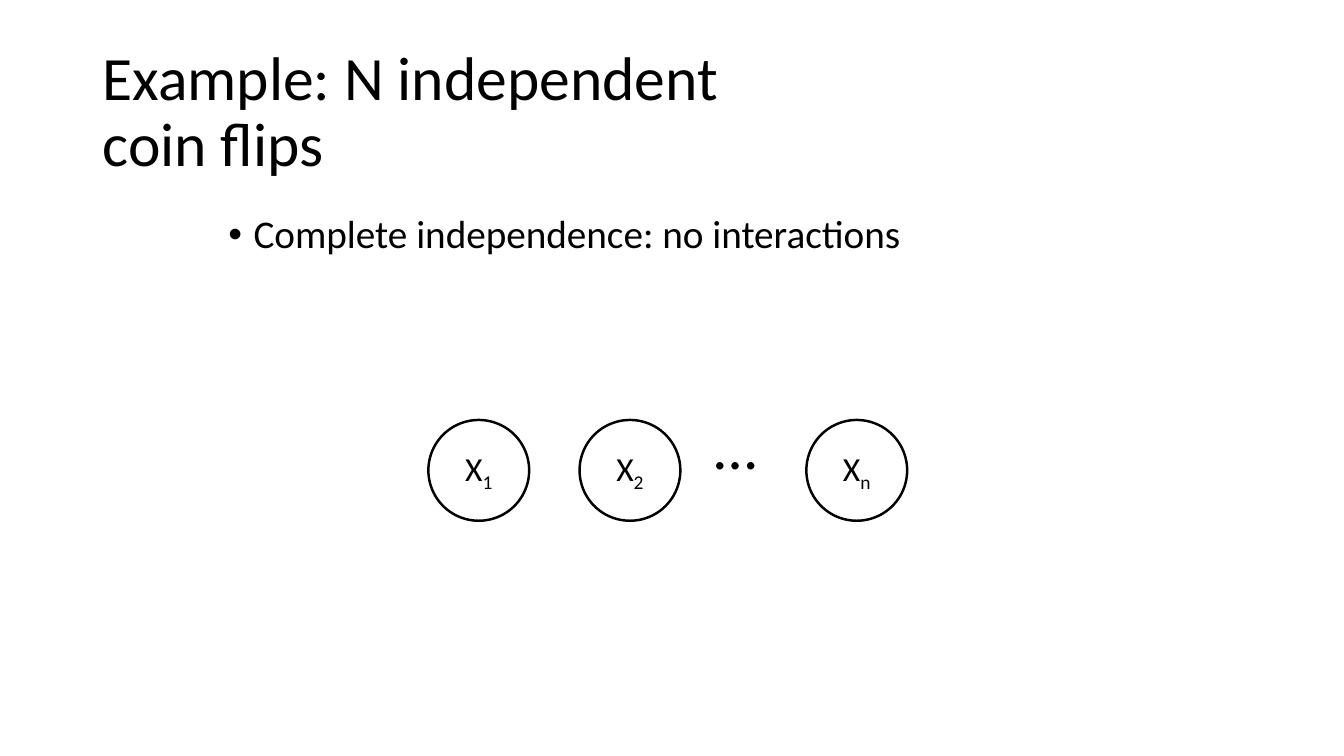
"""Build a slide on independent coin flips."""
from dataclasses import dataclass

from pptx import Presentation
from pptx import util as u
from pptx.dml.color import RGBColor
from pptx.enum import shapes, text
from pptx.oxml.xmlchemy import OxmlElement


@dataclass(frozen=True)
class Theme:
    """Font, colours, type sizes and line width."""
    font: str = "Calibri"
    ink: RGBColor = RGBColor(0, 0, 0)
    title: int = 44
    body: int = 28
    node: int = 24
    line: float = 1.75


THEME = Theme()
COLUMNS, ROWS = 160, 90
CELL = u.Inches(1 / 12)


def cells(*counts):
    """Turn counts of grid cells into lengths."""
    return [u.Emu(round(count * CELL)) for count in counts]


def place(box, left, top, width, height):
    """Put a box on the grid."""
    box.left, box.top, box.width, box.height = cells(left, top, width, height)


def write(para, words, *, size, baseline=None):
    """Add a formatted span of text to a paragraph."""
    for index, line in enumerate(words.split("\n")):
        if index:
            para.add_line_break()
        span = para.add_run()
        span.text = line
        span.font.name = THEME.font
        span.font.size = u.Pt(size)
        span.font.color.rgb = THEME.ink
        if baseline is not None:
            span.font._element.set("baseline", str(baseline * 1000))


def add_title(page, words):
    """Fill the title placeholder."""
    box = page.shapes.title
    place(box, 11, 4.8, 138, 17.4)
    box.text_frame.vertical_anchor = text.MSO_ANCHOR.MIDDLE
    para = box.text_frame.paragraphs[0]
    para.alignment = text.PP_ALIGN.LEFT
    para.line_spacing = 0.9
    write(para, words, size=THEME.title)


def add_list(page, items):
    """Fill the body placeholder with bulleted items."""
    box = page.placeholders[1]
    place(box, 26, 25, 108, 55.5)
    for index, item in enumerate(items):
        frame = box.text_frame
        para = frame.add_paragraph() if index else frame.paragraphs[0]
        para.line_spacing = 0.9
        para.space_before = u.Pt(10)
        write(para, item, size=THEME.body)
        properties = para._p.get_or_add_pPr()
        properties.set("marL", str(u.Inches(0.25)))
        properties.set("indent", str(u.Inches(-0.25)))
        bullet = OxmlElement("a:buChar")
        bullet.set("char", "•")
        properties.append(bullet)


def add_node(page, left, subscript):
    """Draw a circle that holds one variable."""
    node = page.shapes.add_shape(
        shapes.MSO_SHAPE.OVAL, *cells(left, 50, 12, 12))
    node.shadow.inherit = False
    node.fill.background()
    node.line.color.rgb = THEME.ink
    node.line.width = u.Pt(THEME.line)
    node.text_frame.vertical_anchor = text.MSO_ANCHOR.MIDDLE
    para = node.text_frame.paragraphs[0]
    para.alignment = text.PP_ALIGN.CENTER
    write(para, "X", size=THEME.node)
    write(para, subscript, size=THEME.node, baseline=-25)


def add_label(page, words, left, top, width, height):
    """Add a text box that grows with its text."""
    box = page.shapes.add_textbox(*cells(left, top, width, height))
    box.text_frame.word_wrap = True
    box.text_frame.auto_size = text.MSO_AUTO_SIZE.SHAPE_TO_FIT_TEXT
    write(box.text_frame.paragraphs[0], words, size=THEME.title)


def main():
    """Build and save the deck."""
    deck = Presentation()
    deck.slide_width, deck.slide_height = cells(COLUMNS, ROWS)
    page = deck.slides.add_slide(deck.slide_layouts[1])
    for spare in list(page.placeholders)[2:]:
        spare.element.getparent().remove(spare.element)
    add_title(page, "Example: N independent \ncoin flips")
    add_list(page, ["Complete independence: no interactions"])
    for left, subscript in ((51, "1"), (69, "2"), (96, "n")):
        add_node(page, left, subscript)
    add_label(page, "…", 83.9, 48, 16.8, 10.1)
    deck.save("out.pptx")


if __name__ == "__main__":
    main()
